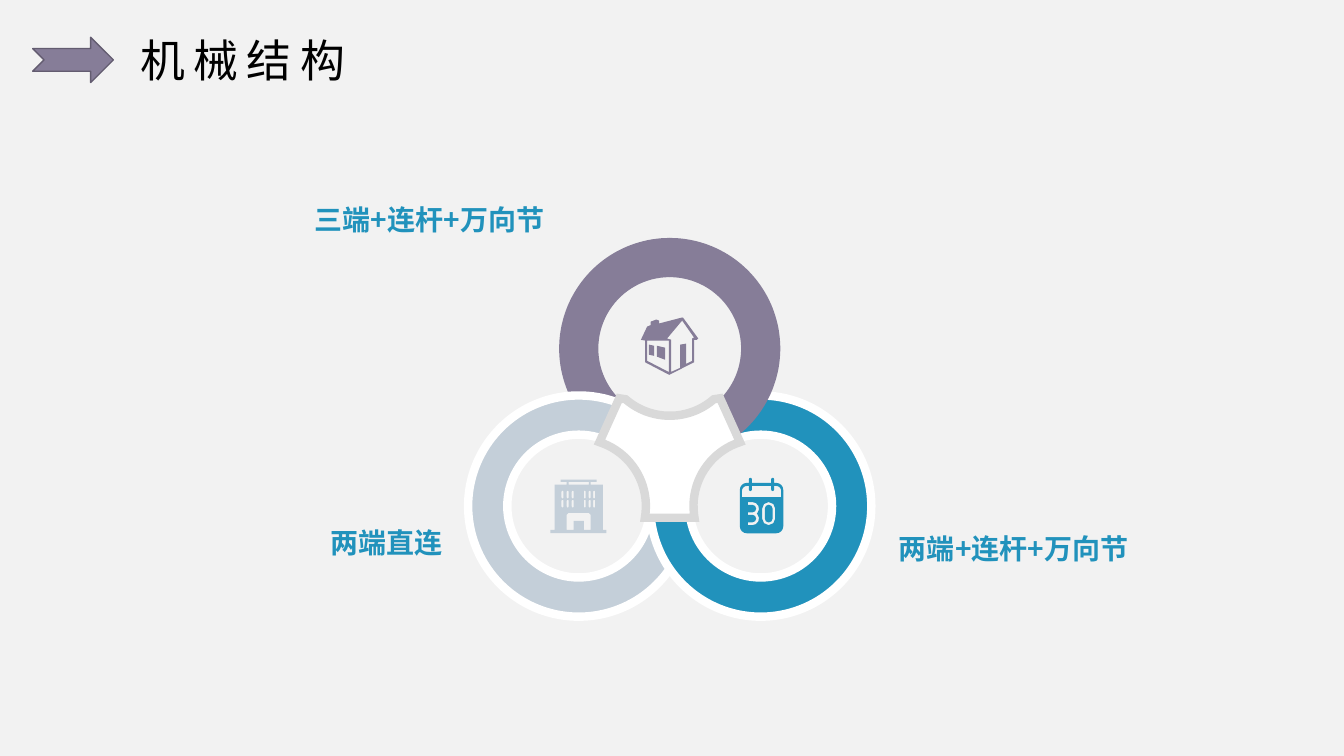
import math
import pptx
import pptx.util
import pptx.dml.color
import pptx.enum.shapes
import pptx.enum.text
import lxml.etree
import pptx.oxml.ns

Pt = pptx.util.Pt
RGB = pptx.dml.color.RGBColor.from_string
Shape = pptx.enum.shapes.MSO_SHAPE
Align = pptx.enum.text.PP_ALIGN
Anchor = pptx.enum.text.MSO_ANCHOR

theme = {
    "back": "F2F2F2", "plum": "867D98", "edge": "635C70", "mist": "C4CFD9",
    "blue": "2192BC", "white": "FFFFFF", "grey": "D9D9D9", "black": "000000",
    "font": "Noto Sans CJK SC", "title": 32, "label": 20,
}

deck = pptx.Presentation()
deck.slide_width, deck.slide_height = Pt(960), Pt(540)
slide = deck.slides.add_slide(deck.slide_layouts[6])
slide.background.fill.solid()
slide.background.fill.fore_color.rgb = RGB(theme["back"])


def write(text, box, size, color, bold=False, align=Align.LEFT, wrap=False, inset=(6, 0), gap=0):
    frame = slide.shapes.add_textbox(*map(Pt, box)).text_frame
    frame.word_wrap = wrap
    frame.vertical_anchor = Anchor.MIDDLE
    frame.margin_left = frame.margin_right = Pt(inset[0])
    frame.margin_top = frame.margin_bottom = Pt(inset[1])
    para = frame.paragraphs[0]
    para.alignment = align
    run = para.add_run()
    run.text = text
    run.font.size, run.font.bold = Pt(theme[size]), bold
    run.font.color.rgb = RGB(theme[color])
    run.font.name = theme["font"]
    props = run.font._element
    east = lxml.etree.SubElement(props, pptx.oxml.ns.qn("a:ea"))
    east.set("typeface", theme["font"])
    if gap:
        props.set("spc", str(gap * 100))


def draw(loops, fill, left=0, top=0, line=None):
    pen = None
    for loop in loops:
        dots = []
        for item in loop:
            if len(item) == 2:
                dots.append(item)
                continue
            x, y, size, start, end = item
            steps = max(4, int(abs(end - start) * size / 180))
            for step in range(steps + 1):
                turn = math.radians(start + (end - start) * step / steps)
                dots.append((x + size * math.cos(turn), y + size * math.sin(turn)))
        dots = [(Pt(left + x), Pt(top + y)) for x, y in dots]
        if pen is None:
            pen = slide.shapes.build_freeform(*dots[0], scale=1.0)
        else:
            pen.move_to(*dots[0])
        pen.add_line_segments(dots[1:], close=True)
    shape = pen.convert_to_shape()
    shape.shadow.inherit = False
    shape.fill.solid()
    shape.fill.fore_color.rgb = RGB(theme[fill])
    if line:
        shape.line.color.rgb = RGB(theme[line])
        shape.line.width = Pt(6)
        edge = shape._element.spPr.find(pptx.oxml.ns.qn("a:ln"))
        lxml.etree.SubElement(edge, pptx.oxml.ns.qn("a:miter")).set("lim", "800000")
    else:
        shape.line.fill.background()


arrow = slide.shapes.add_shape(Shape.NOTCHED_RIGHT_ARROW, Pt(23.4), Pt(26.6), Pt(57.6), Pt(32.4))
arrow.shadow.inherit = False
arrow.fill.solid()
arrow.fill.fore_color.rgb = RGB(theme["plum"])
arrow.line.color.rgb = RGB(theme["edge"])
arrow.line.width = Pt(1)
write("机械结构", (93.2, 19.5, 285.8, 46), "title", "black", wrap=True, inset=(7.2, 3.6), gap=6)

mid, high, low, reach = 478.4, 249, 361.5, 65
outer, inner, notch = 79, 51, 48
west, east = mid - reach, mid + reach

draw([[(mid, high, outer, 270, 123), (mid, high, inner, 130, 270)]], "plum")
for hub, color in ((west, "mist"), (east, "blue")):
    ring = slide.shapes.add_shape(Shape.DONUT, Pt(hub - outer), Pt(low - outer), Pt(2 * outer), Pt(2 * outer))
    ring.adjustments[0] = (outer - inner) / (2 * outer)
    ring.shadow.inherit = False
    ring.fill.solid()
    ring.fill.fore_color.rgb = RGB(theme[color])
    ring.line.color.rgb = RGB(theme["white"])
    ring.line.width = Pt(6)
draw([[(mid, high, outer, 270, 450), (mid, high, inner, 90, -90)]], "plum")
draw([[(mid - 36, 284.5), (mid, high, notch, 131, 49), (mid + 36, 284.5),
       (east, low, notch, 252, 170), (west, low, notch, 10, -72)]], "white", line="grey")

house = [
    [(29.5, 0), (30.2, 0.2), (41, 15), (40, 16), (38, 16), (38, 32), (20.3, 41), (3, 32),
     (3, 16.5), (0, 16), (4.5, 6.5), (7, 5.5), (7, 3), (11, 1.5), (13, 2.2), (13, 4.3)],
    [(4.5, 16.5), (4.5, 31), (20, 39), (20, 16.5)],
    [(11.5, 20.2), (17.3, 21.6), (17.3, 30.2), (11.5, 28)],
    [(5.8, 19.4), (9.4, 20.2), (9.4, 27.4), (5.8, 26.6)],
    [(29.5, 2.2), (18.7, 15.1), (21.6, 15.8), (21.6, 38.9), (28.1, 36), (28.1, 19.4),
     (32.4, 18.7), (32.4, 33.1), (36.7, 31), (36.7, 15), (38, 14.4)],
]
draw(house, "plum", 457.8, 226.8)

tower = [
    [(7.3, 0), (33, 0), (33, 1.6), (28.8, 1.6), (28.8, 3.6), (37.4, 3.6), (37.4, 36), (40, 36),
     (40, 38.2), (0, 38.2), (0, 36), (2.9, 36), (2.9, 3.6), (11.5, 3.6), (11.5, 1.6), (7.3, 1.6)],
    [(13, 1.6), (27.4, 1.6), (27.4, 3.6), (13, 3.6)],
    [(12.9, 23.8), (27.4, 23.8), (28.8, 25.2), (28.8, 36), (23.8, 36), (23.8, 29.5),
     (16.6, 29.5), (16.6, 36), (11.5, 36), (11.5, 25.2)],
]
for y in (7.9, 14.4):
    for x in (8.6, 12.3, 15.9, 24.5, 28, 31.2):
        tower.append([(x, y + 0.7, 0.7, 180, 360), (x, y + 4.9, 0.7, 0, 180)])
draw(tower, "mist", 393.2, 342.6)

dates = [
    [(5, 8.6, 5, 180, 270), (6.5, 3.6), (7.55, 1, 1.05, 180, 360), (8.6, 3.6),
     (22.4, 3.6), (23.45, 1, 1.05, 180, 360), (24.5, 3.6), (26, 8.6, 5, 270, 360),
     (26, 34.6, 5, 0, 90), (5, 34.6, 5, 90, 180)],
    [(1.5, 13.7), (5, 9.3, 3.5, 180, 270), (6.5, 5.8), (7.55, 8.4, 1.05, 180, 0), (8.6, 5.8),
     (22.4, 5.8), (23.45, 8.4, 1.05, 180, 0), (24.5, 5.8), (26, 9.3, 3.5, 270, 360), (29.5, 13.7)],
    [(5.8, 17.3), (9, 22, 4.7, 270, 400), (12.2, 25.6), (9, 29.1, 4.7, -40, 90), (5.8, 33.8),
     (5.8, 31.8), (9, 29.1, 2.7, 90, -90), (5.8, 26.4), (5.8, 24.7), (9, 22, 2.7, 90, -90), (5.8, 19.3)],
    [(20.6, 22, 4.7, 180, 360), (20.6, 29.1, 4.7, 0, 180)],
    [(20.6, 22, 2.8, 180, 360), (20.6, 29.1, 2.8, 0, 180)],
]
draw(dates, "blue", 528.5, 341.3)

for text, left, top, align in (
    ("两端+连杆+万向节", 602.1, 382.3, Align.RIGHT),
    ("两端直连", 112.2, 378, Align.RIGHT),
    ("三端+连杆+万向节", 218.9, 146.8, Align.LEFT),
):
    write(text, (left, top, 210, 19.4), "label", "blue", bold=True, align=align)

deck.save("out.pptx")
